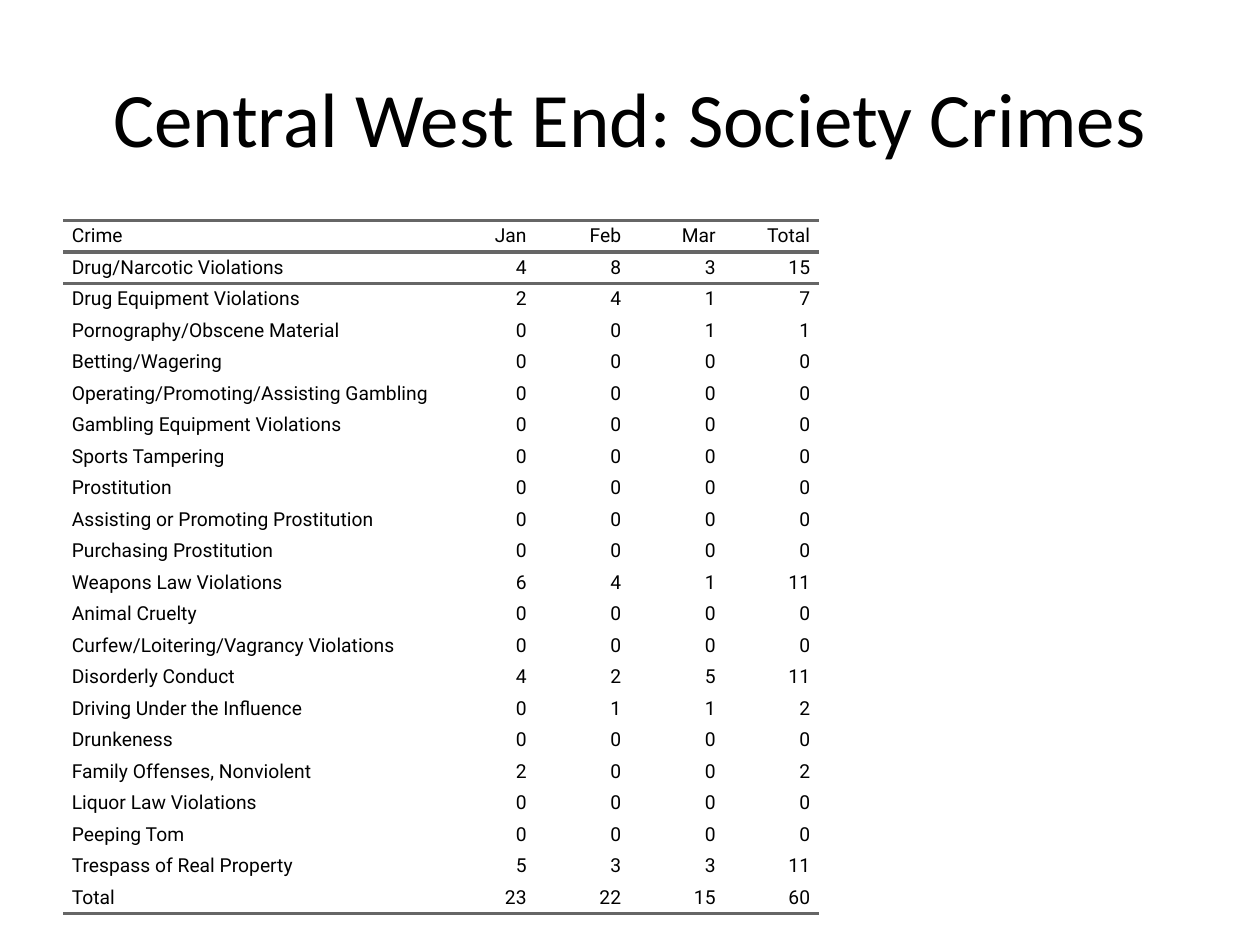
import pptx
import pptx.dml.color
import pptx.enum.text
import pptx.oxml
import pptx.oxml.ns
import pptx.util
from pptx.util import Inches

TITLE = "Central West End: Society Crimes"
HEADER = ("Crime", "Jan", "Feb", "Mar", "Total")
CRIMES = [
    ("Drug/Narcotic Violations", 4, 8, 3),
    ("Drug Equipment Violations", 2, 4, 1),
    ("Pornography/Obscene Material", 0, 0, 1),
    ("Betting/Wagering", 0, 0, 0),
    ("Operating/Promoting/Assisting Gambling", 0, 0, 0),
    ("Gambling Equipment Violations", 0, 0, 0),
    ("Sports Tampering", 0, 0, 0),
    ("Prostitution", 0, 0, 0),
    ("Assisting or Promoting Prostitution", 0, 0, 0),
    ("Purchasing Prostitution", 0, 0, 0),
    ("Weapons Law Violations", 6, 4, 1),
    ("Animal Cruelty", 0, 0, 0),
    ("Curfew/Loitering/Vagrancy Violations", 0, 0, 0),
    ("Disorderly Conduct", 4, 2, 5),
    ("Driving Under the Influence", 0, 1, 1),
    ("Drunkeness", 0, 0, 0),
    ("Family Offenses, Nonviolent", 2, 0, 0),
    ("Liquor Law Violations", 0, 0, 0),
    ("Peeping Tom", 0, 0, 0),
    ("Trespass of Real Property", 5, 3, 3),
]
COLUMN_WIDTHS = (3, 0.75, 0.75, 0.75, 0.75)
ROW_HEIGHT = 0.25
TEXT_INDENT = 0.07
BLACK = pptx.dml.color.RGBColor(0x00, 0x00, 0x00)
RULE_GRAY = pptx.dml.color.RGBColor(0x66, 0x66, 0x66)
NO_STYLE = "{2D5ABB26-0587-4C30-8999-92F81FD0307C}"
ALIGN = pptx.enum.text.PP_ALIGN
MIDDLE = pptx.enum.text.MSO_ANCHOR.MIDDLE


def add_span(para, text, font, size):
    span = para.add_run()
    span.text = text
    span.font.name = font
    span.font.size = pptx.util.Pt(size)
    span.font.color.rgb = BLACK


def add_rule(cell, side):
    cell._tc.get_or_add_tcPr().append(pptx.oxml.parse_xml(
        f'<a:{side} {pptx.oxml.ns.nsdecls("a")} w="{pptx.util.Pt(2)}">'
        f'<a:solidFill><a:srgbClr val="{RULE_GRAY}"/></a:solidFill></a:{side}>'))


def fill_cell(cell, text, align, sides):
    cell.margin_left = cell.margin_right = cell.margin_top = cell.margin_bottom = 0
    cell.vertical_anchor = MIDDLE
    for side in sides:
        add_rule(cell, side)
    cell.fill.background()
    para = cell.text_frame.paragraphs[0]
    para.alignment = align
    properties = para._p.get_or_add_pPr()
    for margin in ("marL", "marR"):
        properties.set(margin, str(Inches(TEXT_INDENT)))
    add_span(para, text, "Roboto", 11)


def add_crime_table(page):
    rows = [(name, *counts, sum(counts)) for name, *counts in CRIMES]
    totals = [sum(column) for column in list(zip(*rows))[1:]]
    rows = [HEADER, *rows, ("Total", *totals)]
    table = page.shapes.add_table(
        len(rows), len(HEADER), Inches(0.5), Inches(1.75),
        Inches(sum(COLUMN_WIDTHS)), Inches(ROW_HEIGHT * len(rows))).table
    table.first_row = table.horz_banding = False
    table._tbl.tblPr.find(pptx.oxml.ns.qn("a:tableStyleId")).text = NO_STYLE
    for column, width in zip(table.columns, COLUMN_WIDTHS):
        column.width = Inches(width)
    rules = {0: ("lnT", "lnB"), 1: ("lnT",), len(rows) - 1: ("lnB",)}
    for row, values in enumerate(rows):
        table.rows[row].height = Inches(ROW_HEIGHT)
        for column, value in enumerate(values):
            align = ALIGN.RIGHT if column else ALIGN.LEFT
            fill_cell(table.cell(row, column), str(value), align, rules.get(row, ()))


def add_title(page):
    title = page.shapes.title
    title.left, title.top = Inches(0.5), Inches(0.3)
    title.width, title.height = Inches(9), Inches(1.25)
    title.text_frame.vertical_anchor = MIDDLE
    para = title.text_frame.paragraphs[0]
    para.alignment = ALIGN.CENTER
    add_span(para, TITLE, "Calibri", 44)


def main():
    deck = pptx.Presentation()
    deck.slide_width, deck.slide_height = Inches(10), Inches(7.5)
    page = deck.slides.add_slide(deck.slide_layouts.get_by_name("Title Only"))
    add_title(page)
    add_crime_table(page)
    deck.save("out.pptx")


if __name__ == "__main__":
    main()
